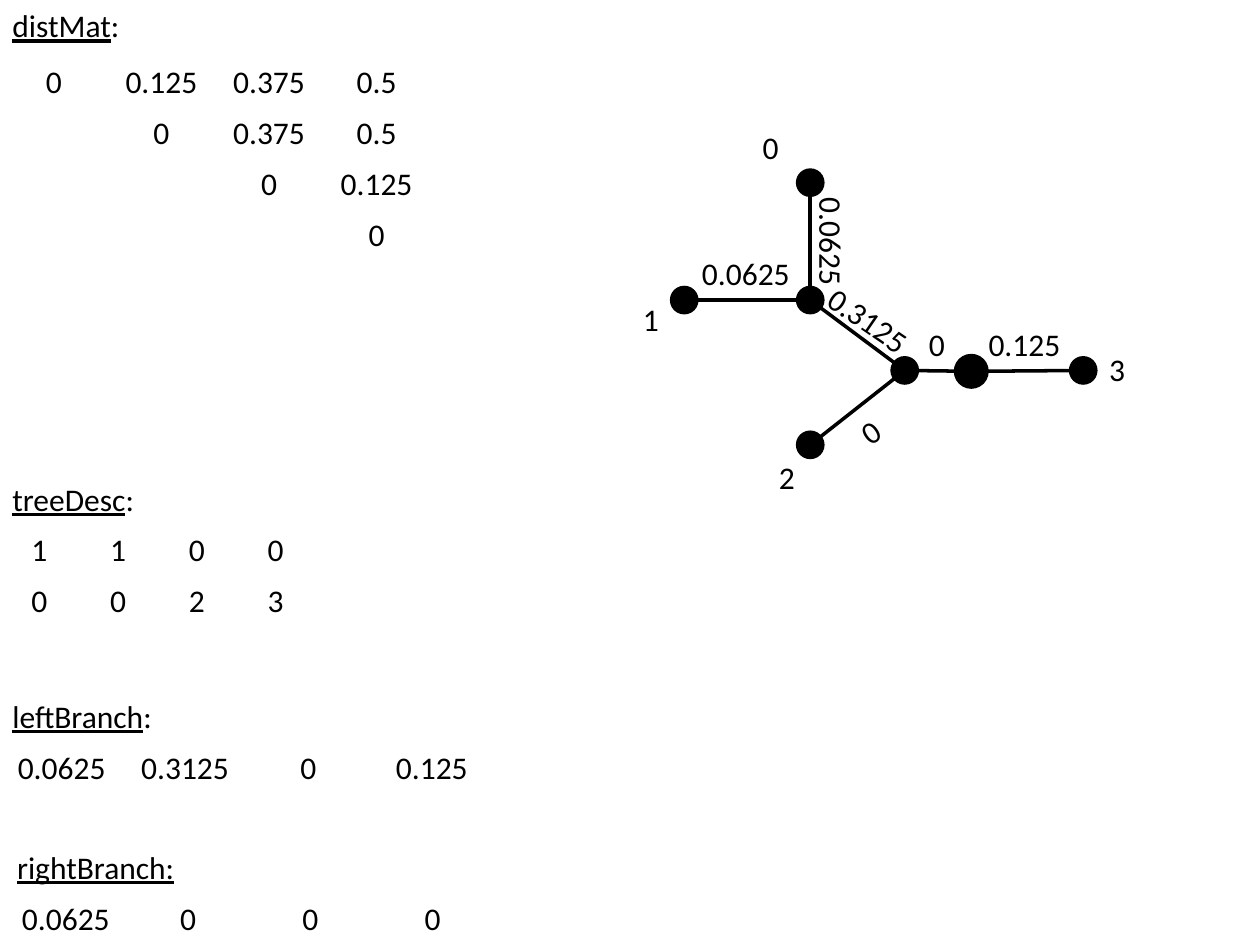
import math
from dataclasses import dataclass

import lxml.etree
import pptx
import pptx.dml.color
import pptx.enum.shapes
import pptx.enum.text
import pptx.oxml.ns
import pptx.util

Pt = pptx.util.Pt
ALIGN = pptx.enum.text.PP_ALIGN


@dataclass(frozen=True)
class Theme:
    ink: pptx.dml.color.RGBColor = pptx.dml.color.RGBColor(0, 0, 0)
    font: str = "Calibri"
    text_size: float = 18
    line_width: float = 2
    row_height: float = 29.2
    label_height: float = 29


THEME = Theme()
SPAN_FORMAT = {"name": THEME.font, "size": Pt(THEME.text_size)}
TABLE_FORMAT = {"first_row": False, "horz_banding": False}
FRAME_FORMAT = {
    "word_wrap": False,
    "auto_size": pptx.enum.text.MSO_AUTO_SIZE.SHAPE_TO_FIT_TEXT,
}


def apply_format(target, values):
    for name, value in values.items():
        setattr(target, name, value)


def write(frame, spans, alignment):
    para = frame.paragraphs[0]
    para.alignment = alignment
    for text, underline in spans:
        span = para.add_run()
        span.text = text
        apply_format(span.font, SPAN_FORMAT)
        span.font.underline = underline
        span.font.color.rgb = THEME.ink


def add_text(page, box, spans, alignment, rotation=0):
    shape = page.shapes.add_textbox(*map(Pt, box))
    shape.rotation = rotation
    apply_format(shape.text_frame, FRAME_FORMAT)
    write(shape.text_frame, spans, alignment)


def add_matrix(page, left, top, column_width, rows):
    columns = len(rows[0])
    table = page.shapes.add_table(
        len(rows), columns, Pt(left), Pt(top),
        Pt(column_width * columns), Pt(THEME.row_height * len(rows)),
    ).table
    apply_format(table, TABLE_FORMAT)
    for row_index, row in enumerate(rows):
        for column_index, text in enumerate(row):
            cell = table.cell(row_index, column_index)
            cell.fill.background()
            if text:
                write(cell.text_frame, [(text, None)], ALIGN.CENTER)


def add_section(page, box, heading, gap, column_width, rows):
    left, top, width = box
    add_text(page, (left, top, width, THEME.label_height), heading, ALIGN.LEFT)
    add_matrix(page, left, top + gap, column_width, rows)


def add_node(page, x, y, diameter):
    node = page.shapes.add_shape(
        pptx.enum.shapes.MSO_SHAPE.OVAL,
        Pt(x - diameter / 2), Pt(y - diameter / 2), Pt(diameter), Pt(diameter),
    )
    node.shadow.inherit = False
    node.fill.solid()
    node.fill.fore_color.rgb = THEME.ink
    node.line.color.rgb = THEME.ink
    node.line.width = Pt(THEME.line_width)


def add_branch(page, start, end):
    x1, y1, diameter1 = start
    x2, y2, diameter2 = end
    length = math.hypot(x2 - x1, y2 - y1)
    across, down = (x2 - x1) / length, (y2 - y1) / length
    branch = page.shapes.add_connector(
        pptx.enum.shapes.MSO_CONNECTOR.STRAIGHT,
        Pt(x1 + across * diameter1 / 2), Pt(y1 + down * diameter1 / 2),
        Pt(x2 - across * diameter2 / 2), Pt(y2 - down * diameter2 / 2),
    )
    branch.line.color.rgb = THEME.ink
    branch.line.width = Pt(THEME.line_width)
    properties = branch.element.spPr
    lxml.etree.SubElement(properties, pptx.oxml.ns.qn("a:effectLst"))


def add_tree(page, left, top, nodes, branches, labels):
    placed = {
        name: (left + x, top + y, diameter)
        for name, (x, y, diameter) in nodes.items()
    }
    for start, end in branches:
        add_branch(page, placed[start], placed[end])
    for node in placed.values():
        add_node(page, *node)
    height = THEME.label_height
    for text, x, y, width, rotation in labels:
        box = (left + x - width / 2, top + y - height / 2, width, height)
        add_text(page, box, [(text, None)], ALIGN.CENTER, rotation)


SECTIONS = [
    ((0, 0, 76), [("distMat", True), (":", False)], 32.5, 61.5, [
        ["0", "0.125", "0.375", "0.5"],
        ["", "0", "0.375", "0.5"],
        ["", "", "0", "0.125"],
        ["", "", "", "0"],
    ]),
    ((0, 270.5, 85), [("treeDesc", True), (":", False)], 29.7, 45, [
        ["1", "1", "0", "0"],
        ["0", "0", "2", "3"],
    ]),
    ((0, 394.5, 96), [("leftBranch", True), (":", False)], 30, 70.5, [
        ["0.0625", "0.3125", "0", "0.125"],
    ]),
    ((2.7, 481, 105), [("rightBranch:", True)], 29.7, 69.9, [
        ["0.0625", "0", "0", "0"],
    ]),
]

NODES = {
    "leaf 0": (103, 34.4, 14.4),
    "leaf 1": (31, 101.5, 14.4),
    "upper fork": (103, 101.5, 14.4),
    "lower fork": (157, 141.7, 14.4),
    "leaf 2": (103, 184.2, 14.4),
    "root": (195, 142.2, 18),
    "leaf 3": (259, 141.7, 14.4),
}
BRANCHES = [
    ("upper fork", "leaf 0"),
    ("upper fork", "leaf 1"),
    ("upper fork", "lower fork"),
    ("leaf 2", "lower fork"),
    ("root", "lower fork"),
    ("leaf 3", "root"),
]
LABELS = [
    ("0", 80.3, 14.2, 24, 0),
    ("1", 11.9, 112.2, 24, 0),
    ("2", 89.6, 202.9, 24, 0),
    ("3", 278.3, 141, 24, 0),
    ("0.0625", 115.2, 68.2, 65, 90),
    ("0.0625", 66.2, 86.2, 65, 0),
    ("0.3125", 136.1, 112.9, 65, 34.4),
    ("0", 137.2, 177, 24, 325.2),
    ("0", 175.3, 126.6, 24, 0),
    ("0.125", 225.4, 126.6, 56, 0),
]

deck = pptx.Presentation()
apply_format(deck, {"slide_width": Pt(720), "slide_height": Pt(540)})
page = deck.slides.add_slide(deck.slide_layouts[6])
for section in SECTIONS:
    add_section(page, *section)
add_tree(page, 360, 70, NODES, BRANCHES, LABELS)
deck.save("out.pptx")
